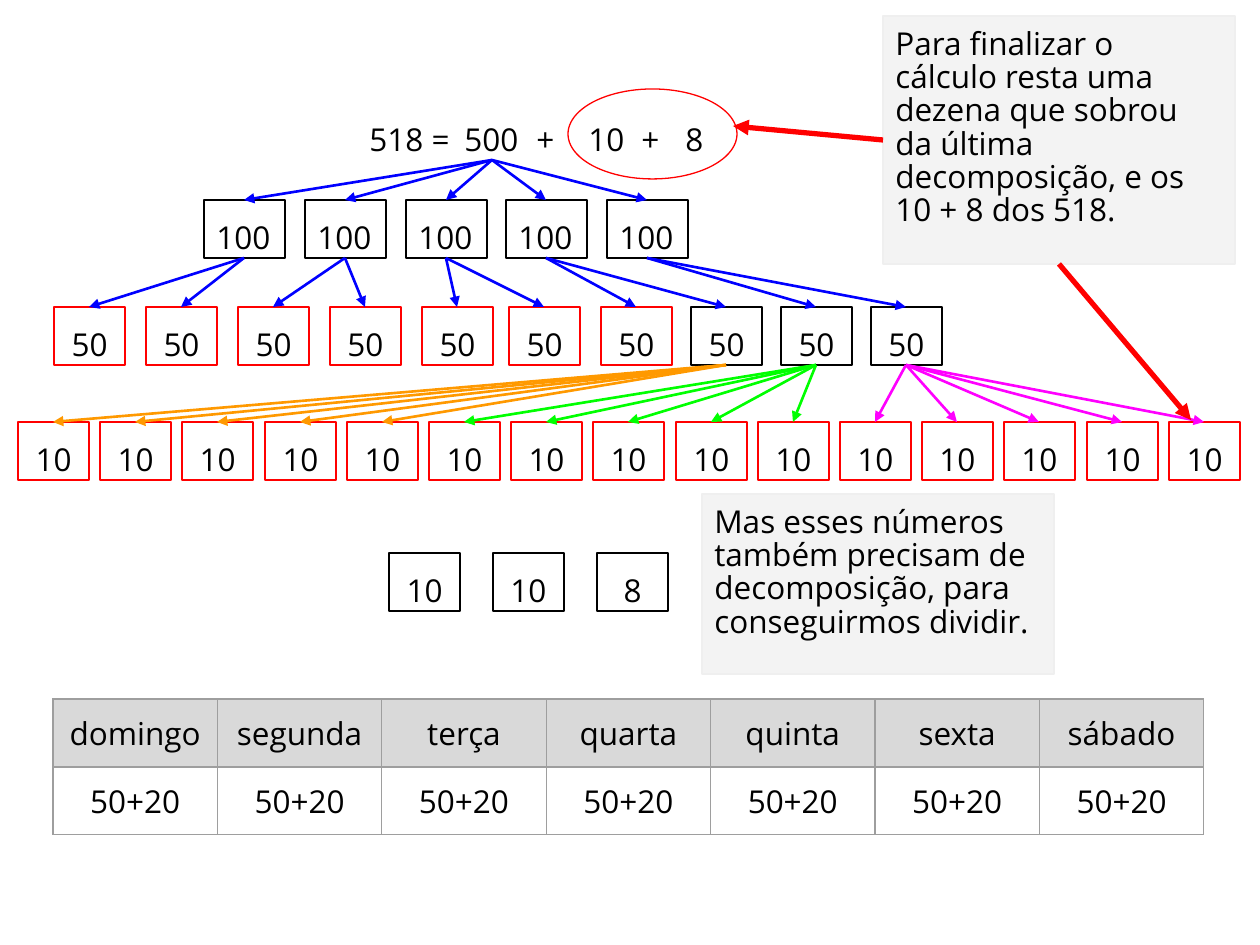
"""Builds the slide that decomposes 518 into equal parts for the seven weekdays."""
from dataclasses import dataclass

from pptx import Presentation
from pptx.dml.color import RGBColor
from pptx.enum.shapes import MSO_CONNECTOR, MSO_SHAPE
from pptx.enum.text import MSO_ANCHOR, PP_ALIGN
from pptx.oxml.ns import qn
from pptx.util import Emu, Pt
from lxml.etree import SubElement

PX = 914400 / 126


@dataclass(frozen=True)
class Theme:
    font: str = "Open Sans"
    size: float = 18
    ink: str = "000000"
    red: str = "FF0000"
    blue: str = "0000FF"
    orange: str = "FF9900"
    green: str = "00FF00"
    magenta: str = "FF00FF"
    callout_fill: str = "F3F3F3"
    callout_line: str = "EFEFEF"
    header_fill: str = "D9D9D9"
    grid: str = "9E9E9E"
    thin: float = 0.75
    medium: float = 1.5
    thick: float = 3
    loose: float = 1.15
    tight: float = 0.88


@dataclass(frozen=True)
class Box:
    text: str
    x: int
    y: int
    width: int = 71
    height: int = 58
    line: str = ""
    weight: float = 0.75
    fill: str = ""
    align: PP_ALIGN = PP_ALIGN.CENTER
    spacing: float = 1.15
    preset: MSO_SHAPE = MSO_SHAPE.RECTANGLE

    @property
    def top(self) -> tuple[int, int]:
        return self.x + self.width // 2, self.y

    @property
    def bottom(self) -> tuple[int, int]:
        return self.x + self.width // 2, self.y + self.height


THEME = Theme()


def px(length: int) -> Emu:
    """Turns whole pixels into EMU."""
    return Emu(round(length * PX))


def color(value: str) -> RGBColor:
    """Reads a hexadecimal colour."""
    return RGBColor.from_string(value)


def write(frame, text: str, align: PP_ALIGN, spacing: float) -> None:
    """Sets the text of a frame and formats it."""
    frame.text = text
    for paragraph in frame.paragraphs:
        paragraph.alignment = align
        paragraph.line_spacing = spacing
        for run in paragraph.runs:
            run.font.name = THEME.font
            run.font.size = Pt(THEME.size)
            run.font.color.rgb = color(THEME.ink)


def draw_box(shapes, box: Box) -> None:
    """Draws an outlined shape, or a plain text box when it has no line."""
    area = [px(length) for length in (box.x, box.y, box.width, box.height)]
    if box.line:
        part = shapes.add_shape(box.preset, *area)
        part.shadow.inherit = False
        part.line.color.rgb = color(box.line)
        part.line.width = Pt(box.weight)
        if box.fill:
            part.fill.solid()
            part.fill.fore_color.rgb = color(box.fill)
        else:
            part.fill.background()
    else:
        part = shapes.add_textbox(*area)
    if not box.text:
        return
    frame = part.text_frame
    frame.word_wrap = True
    frame.vertical_anchor = MSO_ANCHOR.TOP
    frame.margin_left = frame.margin_right = Pt(7.2)
    frame.margin_top = frame.margin_bottom = Pt(7.2)
    write(frame, box.text, box.align, box.spacing)


def draw_arrow(shapes, start: tuple[int, int], end: tuple[int, int],
               tint: str, weight: float = THEME.medium) -> None:
    """Draws a straight arrow that points at its end."""
    arrow = shapes.add_connector(
        MSO_CONNECTOR.STRAIGHT, *(px(length) for length in (*start, *end)))
    arrow.line.color.rgb = color(tint)
    arrow.line.width = Pt(weight)
    SubElement(arrow.line._get_or_add_ln(), qn("a:tailEnd"), type="triangle")
    SubElement(arrow._element.spPr, qn("a:effectLst"))


def draw_cell(cell, text: str, fill: str) -> None:
    """Fills a table cell and gives it four borders."""
    cell.margin_left = cell.margin_right = Pt(7.2)
    cell.margin_top = cell.margin_bottom = Pt(7.2)
    write(cell.text_frame, text, PP_ALIGN.CENTER, 1.0)
    properties = cell._tc.get_or_add_tcPr()
    for side in ("a:lnL", "a:lnR", "a:lnT", "a:lnB"):
        border = SubElement(properties, qn(side), w=str(Pt(THEME.thin)))
        solid = SubElement(border, qn("a:solidFill"))
        SubElement(solid, qn("a:srgbClr"), val=THEME.grid)
    if fill:
        cell.fill.solid()
        cell.fill.fore_color.rgb = color(fill)
    else:
        cell.fill.background()


def draw_week(shapes, days: list[str], share: str) -> None:
    """Draws the table with the share of each weekday."""
    table = shapes.add_table(2, len(days), px(53), px(699), px(1151), px(136)).table
    table.first_row = table.horz_banding = False
    for row in table.rows:
        row.height = px(68)
    for index, day in enumerate(days):
        table.columns[index].width = Emu(px(1151) // len(days))
        draw_cell(table.cell(0, index), day, THEME.header_fill)
        draw_cell(table.cell(1, index), share, "")


def callout(text: str, x: int, y: int, height: int) -> Box:
    """Describes a grey explanation panel."""
    return Box(text, x, y, 352, height, THEME.callout_line, THEME.thin,
               THEME.callout_fill, PP_ALIGN.LEFT, THEME.tight)


def main() -> None:
    """Builds and saves the slide."""
    deck = Presentation()
    deck.slide_width, deck.slide_height = px(1260), px(945)
    shapes = deck.slides.add_slide(deck.slide_layouts[6]).shapes

    sum_terms = [Box(text, x, 102, width, align=PP_ALIGN.LEFT) for text, x, width in (
        ("518 =", 357, 108), ("500", 452, 81), ("+", 524, 47),
        ("10", 576, 64), ("+", 629, 47), ("8", 673, 97))]
    hundreds = [Box("100", round(204 + 100.8 * i), 200, 81, line=THEME.ink,
                    align=PP_ALIGN.LEFT) for i in range(5)]
    fifty_lefts = (54, 146, 238, 330, 422, 509, 601, 691, 781, 871)
    fifties = [Box("50", x, 307, line=THEME.red if i < 7 else THEME.ink)
               for i, x in enumerate(fifty_lefts)]
    tens = [Box("10", round(18 + 82.2 * i), 422, line=THEME.red,
                weight=THEME.medium if i == 14 else THEME.thin) for i in range(15)]
    leftovers = [Box(text, 389 + 104 * i, 553, line=THEME.ink)
                 for i, text in enumerate(("10", "10", "8"))]
    remainder = Box("", 568, 89, 169, 90, THEME.red, preset=MSO_SHAPE.OVAL)
    finish = callout("Para finalizar o cálculo resta uma dezena que sobrou da última "
                     "decomposição, e os 10 + 8 dos 518.", 883, 16, 248)
    advice = callout("Mas esses números também precisam de decomposição, para "
                     "conseguirmos dividir.", 702, 494, 180)

    for box in (*sum_terms, *hundreds, *fifties, *tens, *leftovers,
                finish, advice, remainder):
        draw_box(shapes, box)
    for hundred in hundreds:
        draw_arrow(shapes, sum_terms[1].bottom, hundred.top, THEME.blue)
    for index, fifty in enumerate(fifties):
        draw_arrow(shapes, hundreds[index // 2].bottom, fifty.top, THEME.blue)
    tints = (THEME.orange, THEME.green, THEME.magenta)
    for index, ten in enumerate(tens):
        group = index // 5
        draw_arrow(shapes, fifties[7 + group].bottom, ten.top, tints[group])
    draw_arrow(shapes, (883, 140), (733, 126), THEME.red, THEME.thick)
    draw_arrow(shapes, finish.bottom, (1191, 420), THEME.red, THEME.thick)
    draw_week(shapes, ["domingo", "segunda", "terça", "quarta", "quinta", "sexta",
                       "sábado"], "50+20")
    deck.save("out.pptx")


if __name__ == "__main__":
    main()
